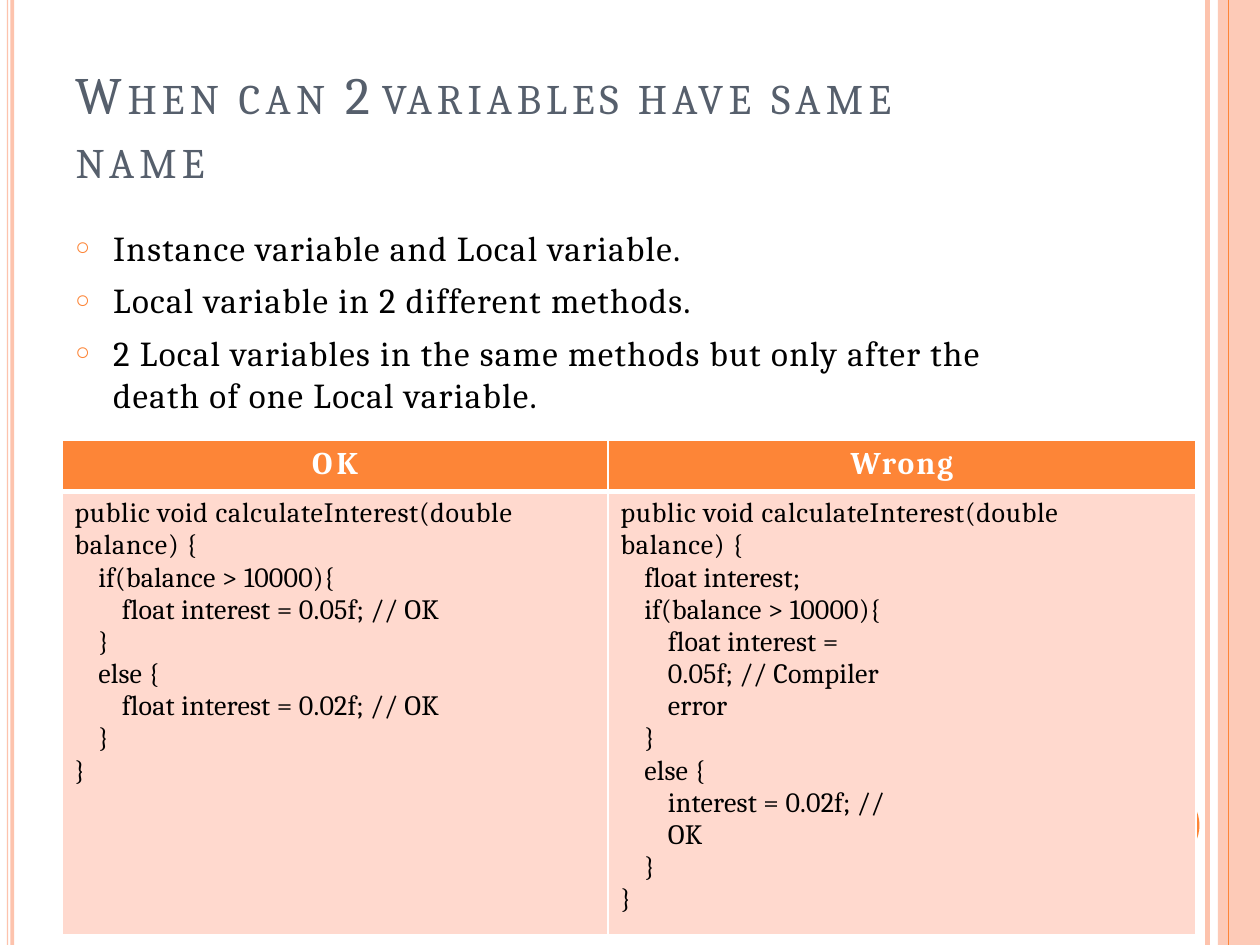
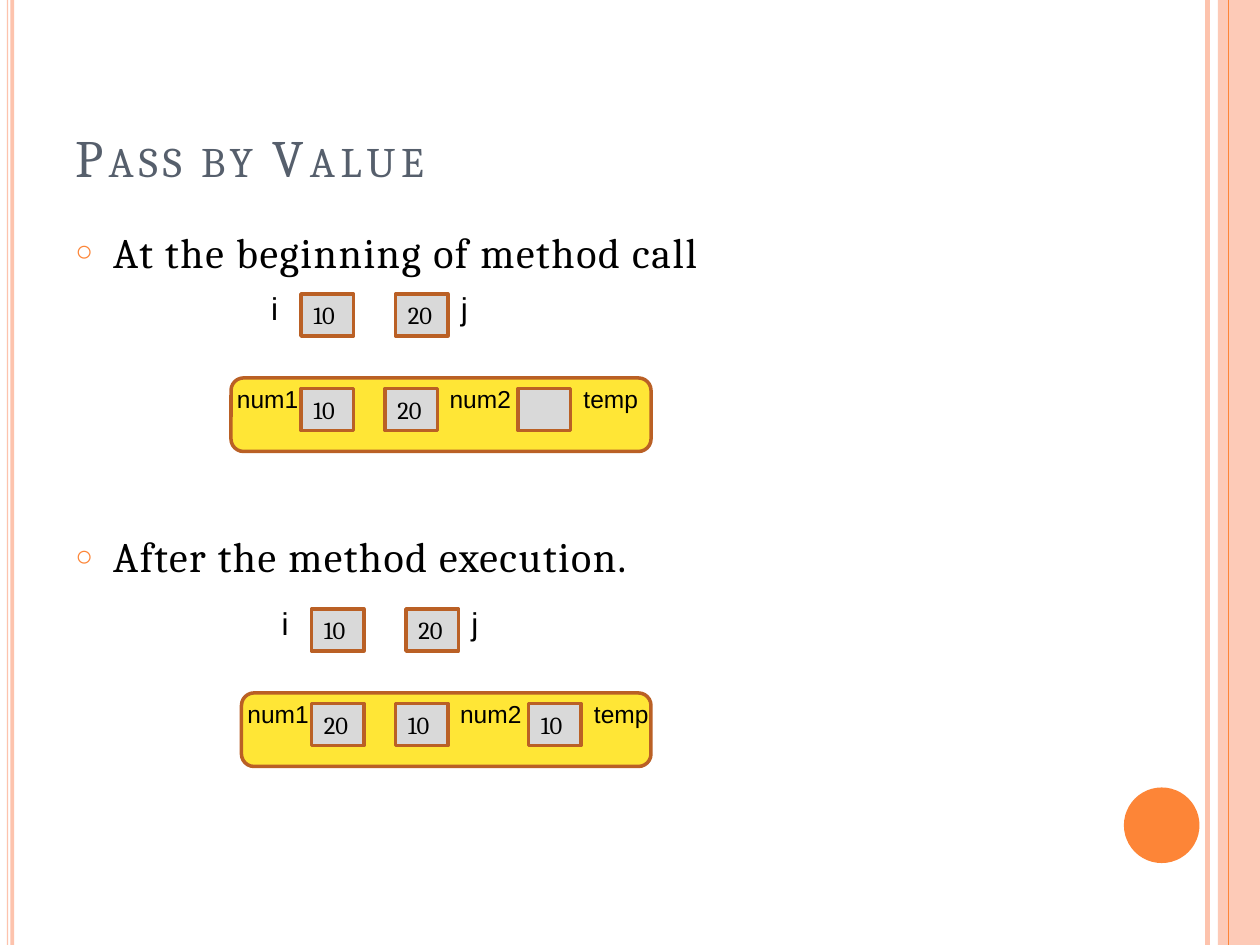
from dataclasses import dataclass
from lxml import etree
from pptx import Presentation
from pptx.dml.color import RGBColor
from pptx.enum import shapes as es, text as et
from pptx.oxml.ns import qn
from pptx.util import Pt


@dataclass(frozen=True)
class Theme:
    serif: str = "Cambria"
    sans: str = "Arial"
    black: str = "000000"
    white: str = "FFFFFF"
    slate: str = "565F6C"
    orange: str = "FD8537"
    peach: str = "FDC3AD"
    blush: str = "FFD9CE"
    gray: str = "D9D9D9"
    rust: str = "BA6025"
    yellow: str = "FFE636"
    cap: float = 30
    small: float = 24
    large: float = 24
    body: float = 20
    head: float = 18
    code: float = 16
    name: float = 18
    label: float = 14


T = Theme()
WIDE, HIGH = 720, 540
LEFT = 42.5
BOX = es.MSO_SHAPE

OK_CODE = [
    (0, "public void calculateInterest(double\vbalance) {"),
    (1, "if(balance > 10000){"),
    (2, "float interest = 0.05f; // OK"),
    (1, "}"),
    (1, "else {"),
    (2, "float interest = 0.02f; // OK"),
    (1, "}"),
    (0, "}"),
]
BAD_CODE = [
    (0, "public void calculateInterest(double\vbalance) {"),
    (1, "float interest;"),
    (1, "if(balance > 10000){"),
    (2, "float interest =\v0.05f; // Compiler\verror"),
    (1, "}"),
    (1, "else {"),
    (2, "interest = 0.02f; //\vOK"),
    (1, "}"),
    (0, "}"),
]


def rgb(tone):
    return RGBColor.from_string(tone)


def sub(node, tag, **attrs):
    return etree.SubElement(node, qn(tag), attrs)


def style(font, size, tone=T.black, face=T.serif, bold=False):
    font.size, font.name, font.bold = Pt(size), face, bold
    font.color.rgb = rgb(tone)


def track(run, space):
    run._r.get_or_add_rPr().set("spc", str(round(space * 100)))


def indent(para, left, first=0):
    props = para._p.get_or_add_pPr()
    props.set("marL", str(Pt(left)))
    props.set("indent", str(Pt(first)))
    return props


def inset(frame, left=0, top=0.7):
    frame.word_wrap = True
    frame.margin_left, frame.margin_top = Pt(left), Pt(top)
    frame.margin_right = frame.margin_bottom = 0
    frame.vertical_anchor = et.MSO_ANCHOR.TOP


def add_text(slide, left, top, width, height):
    frame = slide.shapes.add_textbox(
        Pt(left), Pt(top), Pt(width), Pt(height)).text_frame
    inset(frame)
    return frame


def add_box(slide, left, top, width, height, fill, edge=None, kind=BOX.RECTANGLE):
    box = slide.shapes.add_shape(kind, Pt(left), Pt(top), Pt(width), Pt(height))
    box.shadow.inherit = False
    box.fill.solid()
    box.fill.fore_color.rgb = rgb(fill)
    if edge:
        box.line.color.rgb = rgb(edge)
        box.line.width = Pt(2)
    else:
        box.line.fill.background()
    return box


def add_rule(slide, left, tone, width):
    rule = slide.shapes.add_connector(
        es.MSO_CONNECTOR.STRAIGHT, Pt(left), 0, Pt(left), Pt(HIGH))
    rule.line.color.rgb = rgb(tone)
    rule.line.width = Pt(width)
    sub(rule._element.spPr, "a:effectLst")


def add_frame(slide):
    add_rule(slide, 690, T.peach, 3)
    add_box(slide, 642.25, 450, 43.2, 43.2, T.orange, kind=BOX.OVAL)
    for left, width in ((3.9, 0.7), (5.9, 2.2)):
        add_box(slide, left, 0, width, HIGH, T.peach)
    band = add_box(slide, 696, 0, 24, HIGH, T.peach)
    tone = band._element.spPr.find(qn("a:solidFill"))[0]
    sub(tone, "a:alpha", val="87000")
    add_rule(slide, 702, T.orange, 0.75)


def add_title(slide, top, lines):
    frame = add_text(slide, LEFT, top, 600, 38 * len(lines))
    for row, parts in enumerate(lines):
        para = frame.add_paragraph() if row else frame.paragraphs[0]
        indent(para, 0.7)
        if row:
            para.space_before = Pt(6)
        for words, size, space in parts:
            run = para.add_run()
            run.text = words
            style(run.font, size, T.slate)
            track(run, space)


def add_list(slide, top, width, items, size, space):
    frame = add_text(slide, LEFT, top, width, 31 * len(items))
    for row, item in enumerate(items):
        para = frame.add_paragraph() if row else frame.paragraphs[0]
        para.text = item
        if row:
            para.space_before = Pt(6)
        props = indent(para, 22.2, -21.6)
        sub(sub(props, "a:buClr"), "a:srgbClr", val=T.orange)
        sub(props, "a:buSzPct", val="70000")
        sub(props, "a:buFont", typeface=T.sans)
        sub(props, "a:buChar", char="○")
        style(para.font, size)
        for run in para.runs:
            track(run, space)


def add_label(slide, left, top, width, words, size):
    para = add_text(slide, left, top, width, size * 1.3).paragraphs[0]
    para.text = words
    indent(para, 0.9)
    style(para.font, size, face=T.sans)


def add_value(slide, left, top, value):
    frame = add_box(slide, left, top, 30, 24, T.gray, T.rust).text_frame
    inset(frame, 7.2, 3.6)
    para = frame.paragraphs[0]
    para.text = value
    para.alignment = et.PP_ALIGN.LEFT
    style(para.font, T.label)


def add_state(slide, dx, dy, outer, inner):
    for left, value in zip((172, 226), outer):
        add_value(slide, left + dx, 168 + dy, value)
    for left, name in ((154, "i"), (262.5, "j")):
        add_label(slide, left + dx, 164.5 + dy, 12, name, T.name)
    panel = add_box(slide, 132 + dx, 216 + dy, 240 - dx, 42,
                    T.yellow, T.rust, BOX.ROUNDED_RECTANGLE)
    panel.adjustments[0] = 0.17
    for left, value in zip((172, 220, 296), inner):
        add_value(slide, left + dx, 222 + dy, value)
    for left, name in ((134.5, "num1"), (256, "num2"), (332.5, "temp")):
        add_label(slide, left + dx, 218.5 + dy, 38, name, T.label)


def dress(cell, fill, top, bottom):
    props = cell._tc.get_or_add_tcPr()
    for side, width in zip("LRTB", (1, 1, top, bottom)):
        edge = sub(props, "a:ln" + side, w=str(Pt(width)))
        sub(sub(edge, "a:solidFill"), "a:srgbClr", val=T.white)
    cell.fill.solid()
    cell.fill.fore_color.rgb = rgb(fill)
    cell.margin_left = cell.margin_right = cell.margin_bottom = 0
    cell.margin_top = Pt(3.6)


def add_code(cell, lines):
    frame = cell.text_frame
    for row, (depth, line) in enumerate(lines):
        para = frame.add_paragraph() if row else frame.paragraphs[0]
        para.text = line
        indent(para, 7.2 + 13.5 * depth)
        style(para.font, T.code)
        for run in para.runs:
            track(run, 0.15 if depth else 0.45)


def add_table(slide, cols):
    table = slide.shapes.add_table(
        2, len(cols), Pt(35.5), Pt(251.5), Pt(648), Pt(228.5)).table
    table.rows[0].height, table.rows[1].height = Pt(29.3), Pt(199.2)
    for spot, (width, head, space, lines) in enumerate(cols):
        table.columns[spot].width = Pt(width)
        top, low = table.cell(0, spot), table.cell(1, spot)
        dress(top, T.orange, 1, 3)
        dress(low, T.blush, 3, 1)
        para = top.text_frame.paragraphs[0]
        para.text = head
        para.alignment = et.PP_ALIGN.CENTER
        style(para.font, T.head, T.white, bold=True)
        track(para.runs[0], space)
        add_code(low, lines)


def main():
    deck = Presentation()
    deck.slide_width, deck.slide_height = Pt(WIDE), Pt(HIGH)
    names, passing = (deck.slides.add_slide(deck.slide_layouts[6])
                      for _ in range(2))
    for slide in (names, passing):
        add_frame(slide)

    add_title(names, 35, [
        [("W", T.cap, 3), ("HEN CAN ", T.small, 3), ("2 ", T.cap, 0.1),
         ("VARIABLES ", T.small, 2.8), ("HAVE SAME", T.small, 3.1)],
        [("NAME", T.small, 3)],
    ])
    add_list(names, 128.5, 543.5, [
        "Instance variable and Local variable.",
        "Local variable in 2 different methods.",
        "2 Local variables in the same methods but only after the "
        "death of one Local variable.",
    ], T.body, 0.75)
    add_table(names, [(312, "OK", 2.4, OK_CODE), (336, "Wrong", 1.1, BAD_CODE)])

    add_title(passing, 71, [
        [("P", T.cap, 2.9), ("ASS BY ", T.small, 2.9),
         ("V", T.cap, 3.3), ("ALUE", T.small, 3.3)],
    ])
    add_list(passing, 128.5, 400, ["At the beginning of method call"], T.large, 0.9)
    add_list(passing, 302.5, 400, ["After the method execution."], T.large, 0.85)
    add_state(passing, 0, 0, ("10", "20"), ("10", "20", ""))
    add_state(passing, 6, 180, ("10", "20"), ("20", "10", "10"))
    deck.save("out.pptx")


if __name__ == "__main__":
    main()
